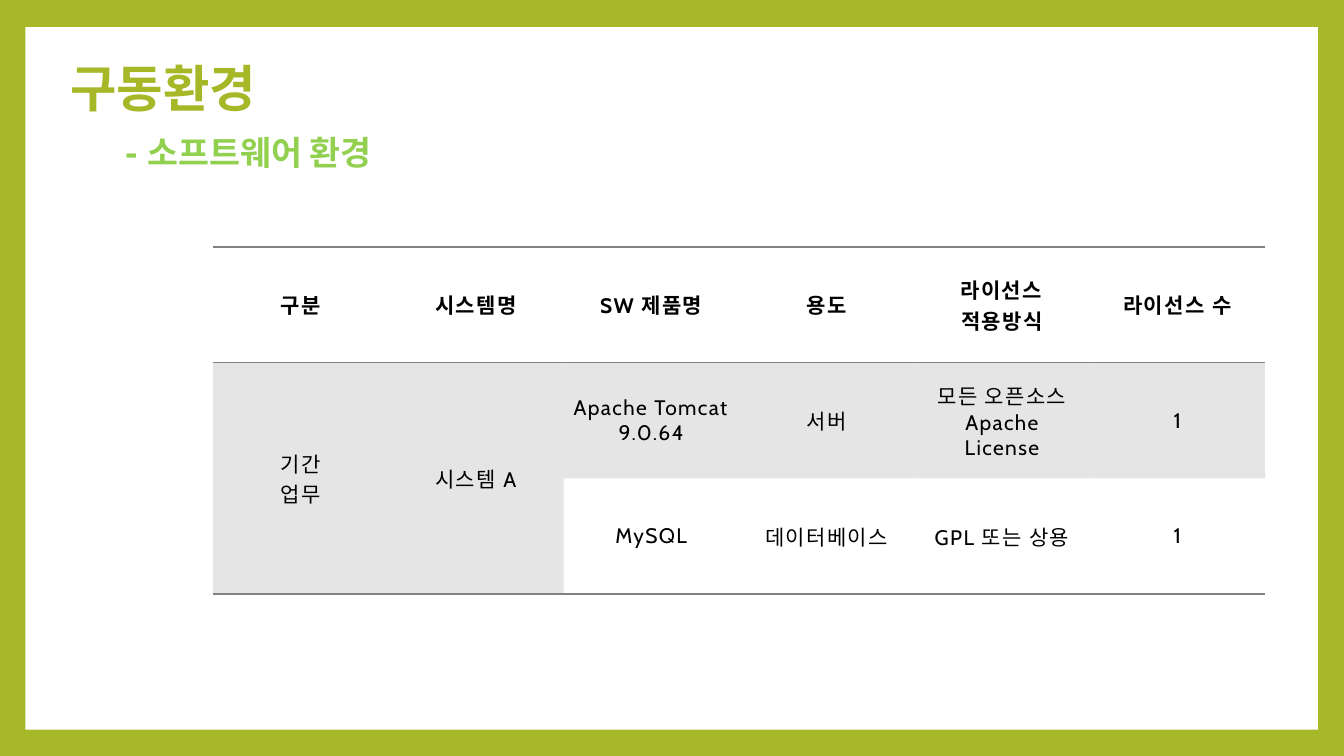
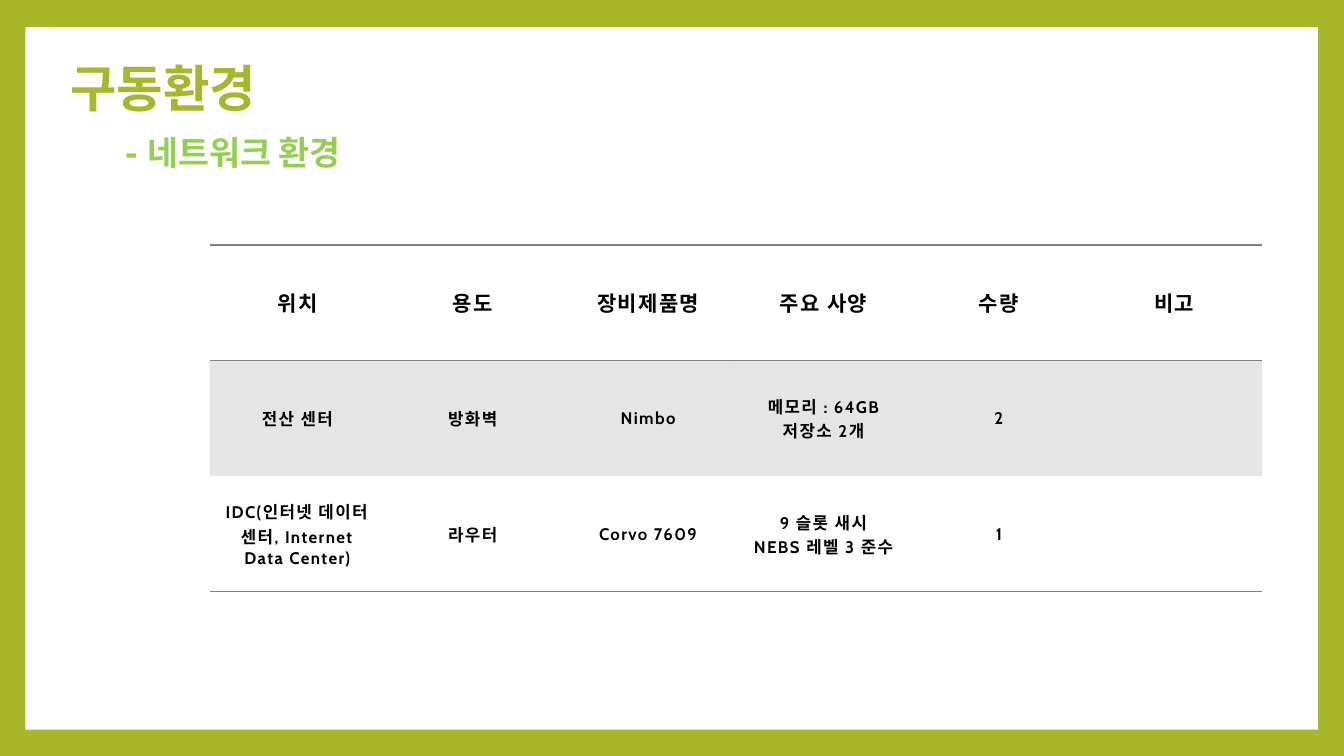
import dataclasses

import lxml.etree
import pptx
import pptx.dml.color
import pptx.enum.shapes
import pptx.enum.text
import pptx.oxml.ns
import pptx.util


@dataclasses.dataclass(frozen=True)
class Theme:
    """Holds the colours, fonts and type sizes of the deck."""
    green: str = "A6B727"
    lime: str = "92D050"
    white: str = "FFFFFF"
    black: str = "000000"
    grey: str = "818183"
    tint: int = 20
    rule: float = 1
    track: float = 1
    display: str = "Montserrat"
    body: str = "Cabin"
    title: int = 36
    sub: int = 24
    head: int = 15
    small: int = 12


THEME = Theme()
WIDE = pptx.util.Inches(13.33)
HIGH = pptx.util.Inches(7.5)
PAGE = (0, 0, WIDE, HIGH)
SOFT = [
    ["구분", "시스템명", "SW 제품명", "용도", "라이선스 적용방식", "라이선스 수"],
    ["기간\n업무", "시스템 A", "Apache Tomcat 9.0.64", "서버",
     "모든 오픈소스\nApache\nLicense", "1"],
    ["", "", "MySQL", "데이터베이스", "GPL 또는 상용", "1"],
]
NET = [
    ["위치", "용도", "장비제품명", "주요 사양", "수량", "비고"],
    ["전산 센터", "방화벽", "Nimbo", "메모리 : 64GB\n저장소 2개", "2", ""],
    ["IDC(인터넷 데이터 센터, Internet Data Center)", "라우터", "Corvo 7609",
     "9 슬롯 새시\nNEBS 레벨 3 준수", "1", ""],
]


def part(box, left, top, width, height):
    """Return the part of a box given in hundredths of its size."""
    x, y, w, h = box
    return (int(x + w * left / 100), int(y + h * top / 100),
            int(w * width / 100), int(h * height / 100))


def tone(code):
    """Return a colour from its hex code."""
    return pptx.dml.color.RGBColor.from_string(code)


def tag(host, name, **traits):
    """Add a drawing element with its attributes to a host."""
    return lxml.etree.SubElement(host, pptx.oxml.ns.qn(name), **traits)


def style(frame, font, size, color, bold=True):
    """Format every run of a text frame."""
    for para in frame.paragraphs:
        for run in para.runs:
            run.font.name = font
            run.font.size = pptx.util.Pt(size)
            run.font.bold = bold
            run.font.color.rgb = tone(color)


def panel(slide, box):
    """Fill the page with green and lay the white panel on it."""
    slide.background.fill.solid()
    slide.background.fill.fore_color.rgb = tone(THEME.green)
    sheet = slide.shapes.add_shape(
        pptx.enum.shapes.MSO_SHAPE.RECTANGLE, *part(box, 1.88, 3.6, 96.17, 92.93))
    sheet.shadow.inherit = False
    sheet.fill.solid()
    sheet.fill.fore_color.rgb = tone(THEME.white)
    sheet.line.fill.background()


def label(slide, box, text, size, color):
    """Place a bold display line and return its text frame."""
    frame = slide.shapes.add_textbox(*box).text_frame
    frame.word_wrap = True
    frame.text = text
    style(frame, THEME.display, size, color)
    return frame


def header(slide, box, text):
    """Place the title and the subtitle below it."""
    label(slide, part(box, 4.5, 6.93, 78.3, 19.33), "구동환경", THEME.title, THEME.green)
    frame = label(slide, part(box, 8.55, 10.8, 78.3, 19.33), text, THEME.sub, THEME.lime)
    frame.vertical_anchor = pptx.enum.text.MSO_ANCHOR.MIDDLE
    frame.paragraphs[0].line_spacing = 0.9


def edge(cell, lines):
    """Draw the named sides of a cell and clear the others."""
    props = cell._tc.get_or_add_tcPr()
    for side in "LRTB":
        line = tag(props, "a:ln" + side, w=str(pptx.util.Pt(THEME.rule)))
        if side in lines:
            tag(tag(line, "a:solidFill"), "a:srgbClr", val=THEME.grey)
        else:
            tag(line, "a:noFill")


def shade(cell, dark):
    """Give a cell the grey tint or no fill."""
    if not dark:
        cell.fill.background()
        return
    cell.fill.solid()
    cell.fill.fore_color.rgb = tone(THEME.grey)
    color = cell._tc.tcPr.find(".//" + pptx.oxml.ns.qn("a:solidFill") + "[last()]")
    fill = cell._tc.tcPr.findall(pptx.oxml.ns.qn("a:solidFill"))[-1]
    tag(fill[0], "a:alpha", val=str(THEME.tint * 1000))


def write(cell, text, size, bold):
    """Set the centred text of a cell."""
    cell.vertical_anchor = pptx.enum.text.MSO_ANCHOR.MIDDLE
    frame = cell.text_frame
    frame.text = text
    style(frame, THEME.body, size, THEME.black, bold)
    for para in frame.paragraphs:
        para.alignment = pptx.enum.text.PP_ALIGN.CENTER
        for run in para.runs:
            run.font._element.set("spc", str(int(THEME.track * 100)))


def grid(slide, box, rows, size, bold, merged=0):
    """Build a ruled table whose first columns may merge below the head."""
    last = len(rows) - 1
    table = slide.shapes.add_table(len(rows), len(rows[0]), *box).table
    table.first_row = table.horz_banding = False
    for r, row in enumerate(rows):
        for c, text in enumerate(row):
            cell = table.cell(r, c)
            joined = r > 0 and c < merged
            lines = "TB" if r == 0 else "T" if r == 1 else ""
            if r == last or joined:
                lines += "B"
            edge(cell, lines)
            shade(cell, r % 2 == 1 or joined)
            write(cell, text, size if r else THEME.head, bold or r == 0)
    for c in range(merged):
        table.cell(1, c).merge(table.cell(last, c))


def page(deck, text, spot, rows, size, bold, merged=0):
    """Add one slide with its panel, header and table."""
    slide = deck.slides.add_slide(deck.slide_layouts[6])
    panel(slide, PAGE)
    grid(slide, part(PAGE, *spot, 78.3, 45.9), rows, size, bold, merged)
    header(slide, PAGE, text)


def main():
    """Build the deck and save it."""
    deck = pptx.Presentation()
    deck.slide_width, deck.slide_height = WIDE, HIGH
    page(deck, "- 소프트웨어 환경", (15.83, 32.67), SOFT, THEME.head, False, merged=2)
    page(deck, "- 네트워크 환경", (15.6, 32.4), NET, THEME.small, True)
    deck.save("out.pptx")


if __name__ == "__main__":
    main()
